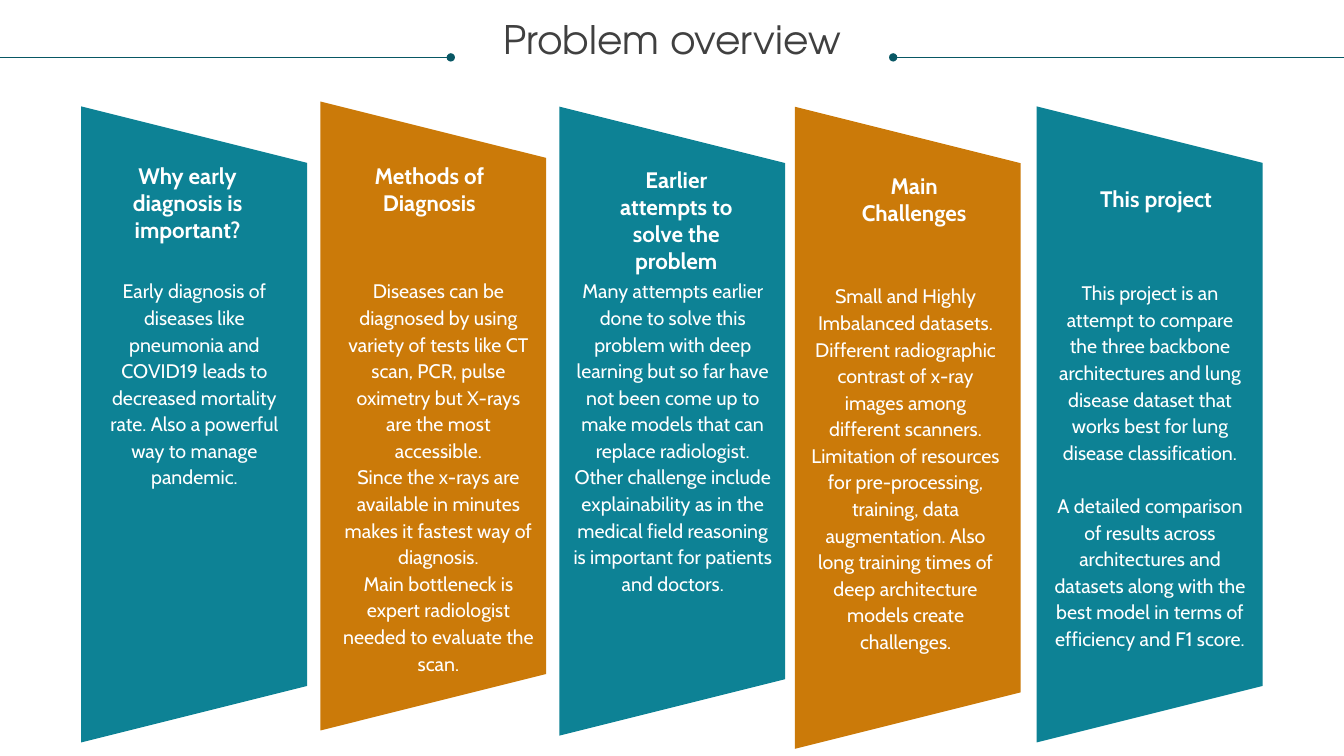
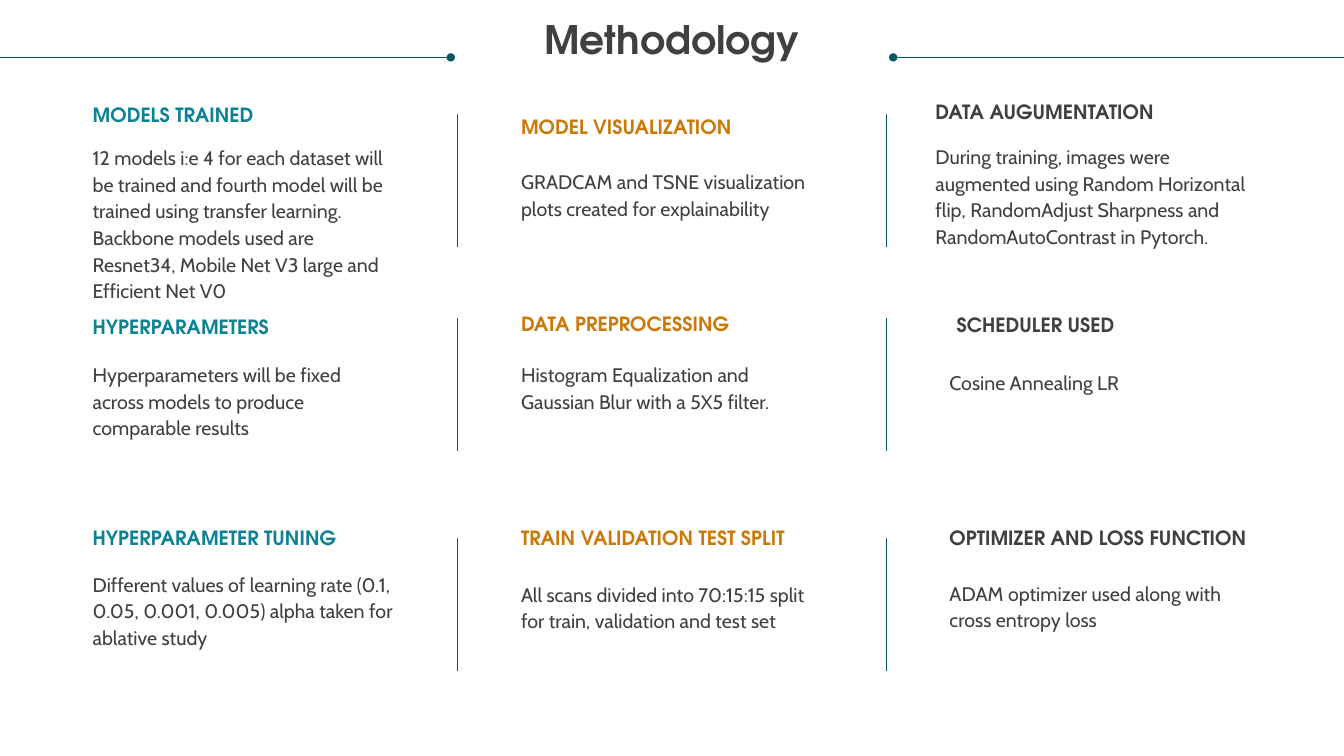
"""Builds the problem overview and methodology slides of a lung diagnosis project."""
from lxml import etree
from pptx import Presentation
from pptx.dml.color import RGBColor
from pptx.enum.shapes import MSO_CONNECTOR as Connector, MSO_SHAPE as Shape
from pptx.enum.text import MSO_ANCHOR as Anchor, MSO_AUTO_SIZE as AutoSize, PP_ALIGN as Align
from pptx.oxml.ns import qn
from pptx.util import Pt

COLORS = {"teal": "0D8295", "amber": "CB7A09", "rule": "085764", "ink": "404040", "white": "FFFFFF"}
TITLE_FONT, BODY_FONT = "TeX Gyre Adventor", "Cabin"
WIDTH, HEIGHT = 960, 540
LINE = 19


def write(holder, text, font=BODY_FONT, size=14, color="ink", bold=False,
          align=Align.LEFT, spacing=Pt(LINE), gap=0):
    frame = holder.text_frame
    frame.word_wrap = True
    frame.auto_size = AutoSize.NONE
    frame.vertical_anchor = Anchor.TOP
    frame.margin_left = frame.margin_right = frame.margin_top = frame.margin_bottom = 0
    for index, words in enumerate(text.split("\n")):
        paragraph = frame.paragraphs[0] if index == 0 else frame.add_paragraph()
        paragraph.alignment = align
        paragraph.line_spacing = spacing
        paragraph.space_before = Pt(gap if index else 0)
        run = paragraph.add_run()
        run.text = words
        run.font.name = font
        run.font.size = Pt(size)
        run.font.bold = bold
        run.font.color.rgb = RGBColor.from_string(COLORS[color])


def draw_rule(slide, x1, y1, x2, y2, dot=None):
    rule = slide.shapes.add_connector(Connector.STRAIGHT, Pt(x1), Pt(y1), Pt(x2), Pt(y2))
    rule.line.color.rgb = RGBColor.from_string(COLORS["rule"])
    rule.line.width = Pt(0.5)
    if dot:
        etree.SubElement(rule.line._get_or_add_ln(), qn(f"a:{dot}"), type="oval")
    etree.SubElement(rule._element.spPr, qn("a:effectLst"))


deck = Presentation()
deck.slide_width, deck.slide_height = Pt(WIDTH), Pt(HEIGHT)

slides = []
for heading, bold in [("Problem overview", False), ("Methodology", True)]:
    slide = deck.slides.add_slide(deck.slide_layouts[5])
    title = slide.shapes.title
    title.left, title.top, title.width, title.height = Pt(18), Pt(15), Pt(924), Pt(61)
    write(title, heading, font=TITLE_FONT, size=28, bold=bold, align=Align.CENTER, spacing=0.9)
    draw_rule(slide, 0, 41, 322, 41, dot="tailEnd")
    draw_rule(slide, 638, 41, WIDTH, 41, dot="headEnd")
    slides.append(slide)
overview, methodology = slides

PANEL_WIDTH, HEADING_WIDTH = 161.3, 108
panels = [
    (58, 76, 454.3, "Why early diagnosis is important?", 80, 116, 3,
     "Early diagnosis of diseases like pneumonia and COVID19 leads to decreased mortality rate. "
     "Also a powerful way to manage pandemic.", 69.8, 197.3, 138.2, 10),
    (228.8, 72.5, 449.3, "Methods of Diagnosis", 252.7, 116, 2,
     "Diseases can be diagnosed by using variety of tests like CT scan, PCR, pulse oximetry "
     "but X-rays are the most accessible.\n"
     "Since the x-rays are available in minutes makes it fastest way of diagnosis.\n"
     "Main bottleneck is expert radiologist needed to evaluate the scan.",
     244.1, 197.3, 138.2, 15),
    (399.6, 76.2, 449.3, "Earlier attempts to solve the problem", 429.1, 118.8, 4,
     "Many attempts earlier done to solve this problem with deep learning but so far have not "
     "been come up to make models that can replace radiologist. Other challenge include "
     "explainability as in the medical field reasoning is important for patients and doctors.",
     407.5, 197.3, 146.2, 12),
    (567.8, 76.3, 458.6, "Main Challenges", 599, 123.1, 2,
     "Small and Highly Imbalanced datasets.\n"
     "Different radiographic contrast of x-ray images among different scanners.\n"
     "Limitation of resources for pre-processing, training, data augmentation. "
     "Also long training times of deep architecture models create challenges.",
     577.4, 200.9, 139, 14),
    (740.5, 76, 454.3, "This project", 771.8, 132.5, 1,
     "This project is an attempt to compare the three backbone architectures and lung disease "
     "dataset that works best for lung disease classification.\n"
     "A detailed comparison of results across architectures and datasets along with the best "
     "model in terms of efficiency and F1 score.", 752.4, 198.7, 138.2, 14),
]
for index, (left, top, length, *_) in enumerate(panels):
    shift = (length - PANEL_WIDTH) / 2
    panel = overview.shapes.add_shape(Shape.TRAPEZOID, Pt(left - shift), Pt(top + shift),
                                      Pt(length), Pt(PANEL_WIDTH))
    panel.rotation = 90
    panel.shadow.inherit = False
    panel.fill.solid()
    panel.fill.fore_color.rgb = RGBColor.from_string(COLORS[("teal", "amber")[index % 2]])
    panel.line.fill.background()

for *_, heading, x, y, rows, details, body_x, body_y, body_width, body_rows in panels:
    topic = overview.shapes.add_textbox(Pt(x), Pt(y), Pt(HEADING_WIDTH), Pt(rows * LINE))
    write(topic, heading, size=16, color="white", bold=True, align=Align.CENTER, spacing=1.0)
    body = overview.shapes.add_textbox(Pt(body_x), Pt(body_y), Pt(body_width), Pt(body_rows * LINE))
    write(body, details, color="white", align=Align.CENTER,
          gap=LINE if heading == "This project" else 0)

COLUMN_PITCH, TEXT_WIDTH, RULE_LENGTH = 306, 216, 95
column_colors = ["teal", "amber", "ink"]
steps = [
    (81.5, [
        ("MODELS TRAINED", 66.2, 71.3,
         "12 models i:e 4 for each dataset will be trained and fourth model will be trained using "
         "transfer learning. Backbone models used are Resnet34, Mobile Net V3 large and "
         "Efficient Net V0", 66.2, 102.2, 6),
        ("MODEL VISUALIZATION", 372.2, 79.9,
         "GRADCAM and TSNE visualization plots created for explainability", 372.2, 119.5, 2),
        ("DATA AUGUMENTATION", 668.2, 69.1,
         "During training, images were augmented using Random Horizontal flip, RandomAdjust "
         "Sharpness and RandomAutoContrast in Pytorch.", 668.2, 101.5, 4),
    ]),
    (227, [
        ("HYPERPARAMETERS", 66.2, 222.5,
         "Hyperparameters will be fixed across models to produce comparable results",
         66.2, 257, 3),
        ("DATA PREPROCESSING", 372.2, 220.3,
         "Histogram Equalization and Gaussian Blur with a 5X5 filter.", 372.2, 257, 2),
        ("SCHEDULER USED", 683.3, 221, "Cosine Annealing LR", 678.2, 262.8, 1),
    ]),
    (384.5, [
        ("HYPERPARAMETER TUNING", 66.2, 373.7,
         "Different values of learning rate (0.1, 0.05, 0.001, 0.005) alpha taken for "
         "ablative study", 66.2, 406.8, 3),
        ("TRAIN VALIDATION TEST SPLIT", 372.2, 373.7,
         "All scans divided into 70:15:15 split for train, validation and test set",
         372.2, 414, 2),
        ("OPTIMIZER AND LOSS FUNCTION", 678.2, 373.7,
         "ADAM optimizer used along with cross entropy loss", 678.2, 413.3, 2),
    ]),
]
for rule_top, cells in steps:
    for column in range(2):
        x = 327 + column * COLUMN_PITCH
        draw_rule(methodology, x, rule_top, x, rule_top + RULE_LENGTH)
    for color, (heading, x, y, details, body_x, body_y, rows) in zip(column_colors, cells):
        topic = methodology.shapes.add_textbox(Pt(x), Pt(y), Pt(TEXT_WIDTH), Pt(LINE))
        write(topic, heading, font=TITLE_FONT, color=color, bold=True)
        body_width = TEXT_WIDTH + (10 if heading == "DATA AUGUMENTATION" else 0)
        body = methodology.shapes.add_textbox(Pt(body_x), Pt(body_y), Pt(body_width), Pt(rows * LINE))
        write(body, details)

deck.save("out.pptx")
